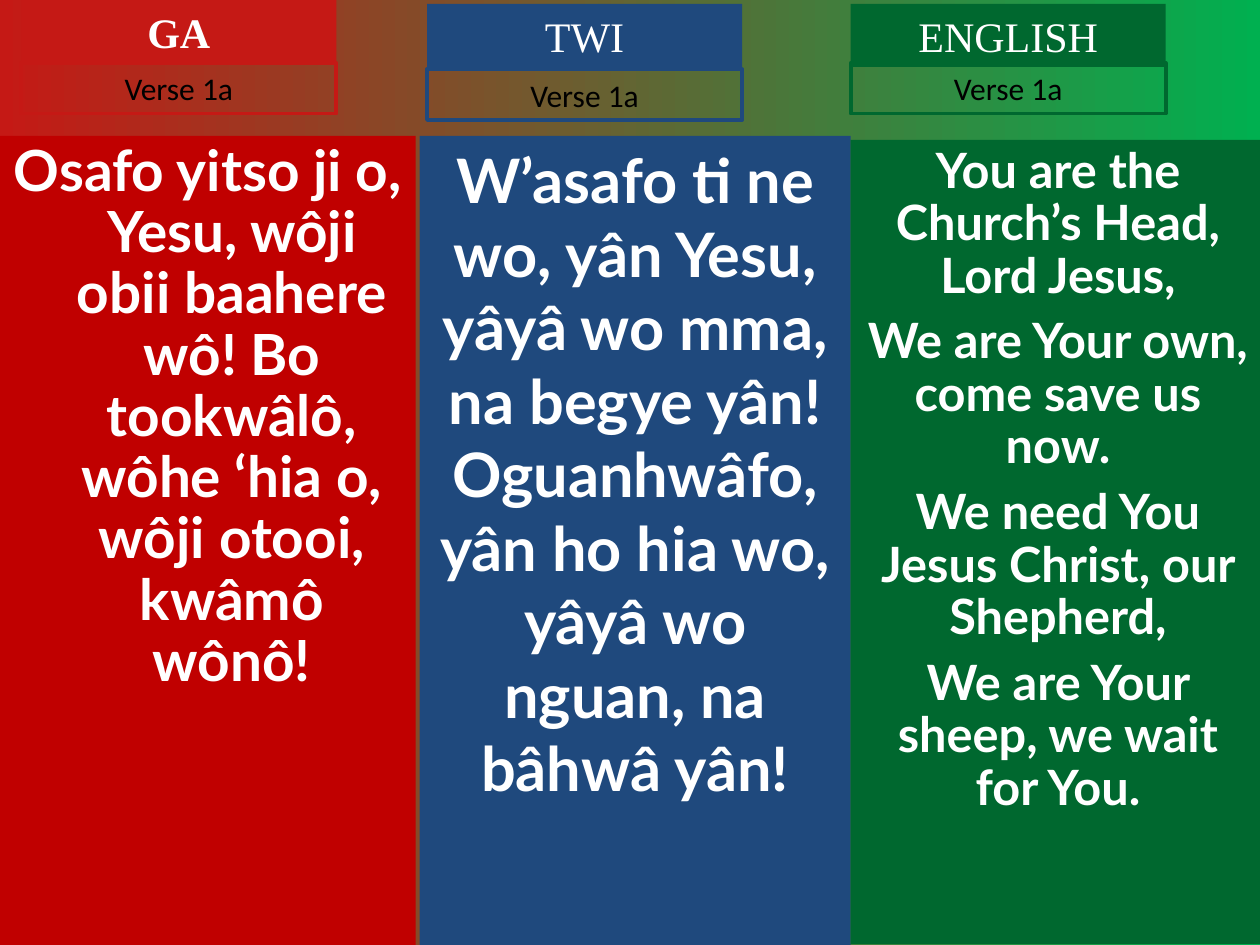
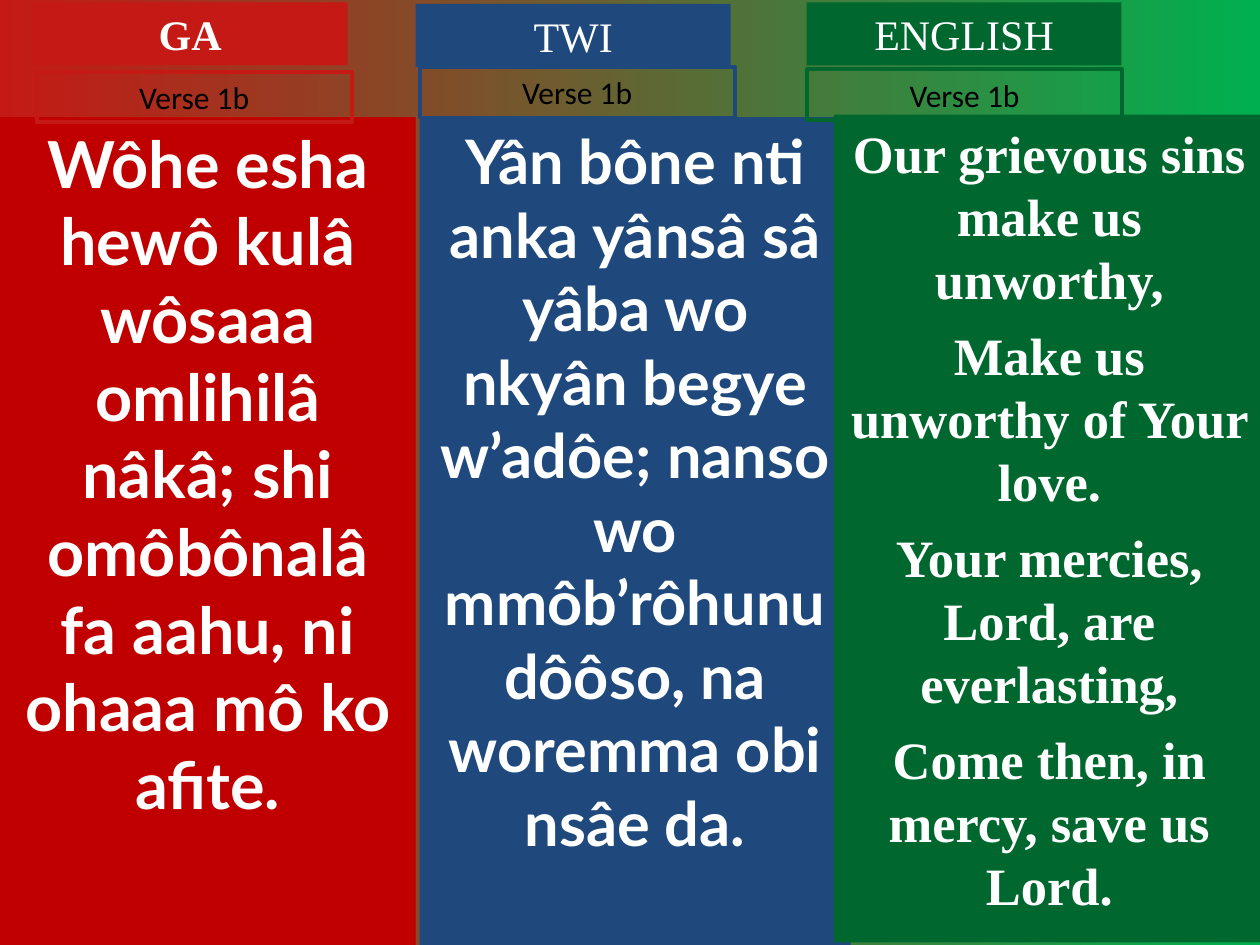
from dataclasses import dataclass
from typing import Any

import pptx
import pptx.dml.color
import pptx.enum.text
import pptx.util
from pptx.util import Cm
import pptx.oxml.ns
import lxml.etree

SLIDE_W, SLIDE_H = Cm(25.4), Cm(19.05)
LABEL_W, HEADING_H, VERSE_H = Cm(6.35), Cm(1.27), Cm(1.02)
HANGING = Cm(0.97)
SIDE_INSET, WIDE_INSET = Cm(0.25), Cm(0.32)
RED, BLUE, GREEN = "C51915", "1F497D", "00682F"
DEEP_RED, BACK_GREEN = "C00000", "00B050"
WHITE, BLACK = "FFFFFF", "000000"

HEADING_FONT = {"name": "Times New Roman", "size": pptx.util.Pt(24), "bold": False}
VERSE_FONT = {"name": "Calibri", "size": pptx.util.Pt(18), "bold": False}


@dataclass
class Language:
    name: str
    label_color: str
    column_color: str
    bold: bool = False


@dataclass
class Column:
    box: tuple[int, int, int, int]
    heading_at: tuple[int, int]
    verse_at: tuple[int, int]
    lines: list[str]
    size: float
    font: str = "Lato"
    line_spacing: float = 1.0
    hanging: int = 0
    inset: int = SIDE_INSET


@dataclass
class Verse:
    title: str
    columns: list[Column]


LANGUAGES = [
    Language("GA", RED, DEEP_RED, True),
    Language("TWI", BLUE, BLUE),
    Language("ENGLISH", GREEN, GREEN),
]

VERSES = [
    Verse("Verse 1a", [
        Column((0, Cm(2.74), Cm(8.38), Cm(16.31)), (Cm(0.43), 0), (Cm(0.43), Cm(1.27)),
               ["Osafo yitso ji o, Yesu, wôji obii baahere wô! Bo tookwâlô, "
                "wôhe ‘hia o, wôji otooi, kwâmô wônô!"],
               32.4, line_spacing=0.9, hanging=HANGING),
        Column((Cm(8.46), Cm(2.74), Cm(8.69), Cm(16.31)), (Cm(8.61), Cm(0.08)), (Cm(8.61), Cm(1.4)),
               ["W’asafo ti ne wo, yân Yesu, yâyâ wo mma, na begye yân! "
                "Oguanhwâfo, yân ho hia wo, yâyâ wo nguan, na bâhwâ yân!"], 35),
        Column((Cm(17.15), Cm(2.82), Cm(8.36), Cm(16.21)), (Cm(17.15), Cm(0.08)), (Cm(17.15), Cm(1.27)),
               ["You are the Church’s Head, Lord Jesus,",
                "We are Your own, come save us now.",
                "We need You Jesus Christ, our Shepherd,",
                "We are Your sheep, we wait for You."], 27.8, line_spacing=0.9),
    ]),
    Verse("Verse 1b", [
        Column((0, Cm(2.36), Cm(8.38), Cm(16.69)), (Cm(0.66), Cm(0.05)), (Cm(0.74), Cm(1.45)),
               ["Wôhe esha hewô kulâ wôsaaa omlihilâ nâkâ; shi omôbônalâ "
                "fa aahu, ni ohaaa mô ko afite."], 37),
        Column((Cm(8.46), Cm(2.36), Cm(8.69), Cm(16.69)), (Cm(8.38), Cm(0.08)), (Cm(8.46), Cm(1.35)),
               ["Yân bône nti anka yânsâ sâ yâba wo nkyân begye w’adôe; nanso wo "
                "mmôb’rôhunu dôôso, na woremma obi nsâe da."], 35, inset=WIDE_INSET),
        Column((Cm(16.81), Cm(2.31), Cm(8.69), Cm(16.69)), (Cm(16.26), Cm(0.05)), (Cm(16.27), Cm(1.4)),
               ["Our grievous sins make us unworthy,",
                "Make us unworthy of Your love.",
                "Your mercies, Lord, are everlasting,",
                "Come then, in mercy, save us Lord."], 30, "Times New Roman"),
    ]),
]


def rgb(value: str) -> pptx.dml.color.RGBColor:
    return pptx.dml.color.RGBColor.from_string(value)


def set_all(target: Any, values: dict[str, Any]) -> None:
    for key, value in values.items():
        setattr(target, key, value)


def place(sp: Any, box: tuple[int, int, int, int]) -> None:
    set_all(sp, dict(zip(("left", "top", "width", "height"), box)))


def fill(sp: Any, color: str) -> None:
    sp.fill.solid()
    sp.fill.fore_color.rgb = rgb(color)


def write(sp: Any, lines: list[str], font: dict[str, Any], color: str,
          line_spacing: float = 1.0, hanging: int = 0, inset: int = SIDE_INSET) -> None:
    tf = sp.text_frame
    set_all(tf, {"word_wrap": True, "auto_size": pptx.enum.text.MSO_AUTO_SIZE.NONE,
                 "vertical_anchor": pptx.enum.text.MSO_ANCHOR.TOP,
                 "margin_left": inset, "margin_right": inset})
    for i, line in enumerate(lines):
        p = tf.add_paragraph() if i else tf.paragraphs[0]
        pPr = p._p.get_or_add_pPr()
        pPr.set("marL", str(int(hanging)))
        pPr.set("indent", str(-int(hanging)))
        lxml.etree.SubElement(pPr, pptx.oxml.ns.qn("a:buNone"))
        set_all(p, {"alignment": pptx.enum.text.PP_ALIGN.CENTER, "line_spacing": line_spacing,
                    "space_before": pptx.util.Pt(7.5 if i else 0)})
        r = p.add_run()
        r.text = line
        set_all(r.font, font)
        r.font.color.rgb = rgb(color)


def add_lyrics(sp: Any, language: Language, column: Column) -> None:
    place(sp, column.box)
    fill(sp, language.column_color)
    font = {"name": column.font, "size": pptx.util.Pt(column.size), "bold": True}
    write(sp, column.lines, font, WHITE, column.line_spacing, column.hanging, column.inset)


def add_heading(sp: Any, language: Language, column: Column) -> None:
    place(sp, (*column.heading_at, LABEL_W, HEADING_H))
    fill(sp, language.label_color)
    write(sp, [language.name], HEADING_FONT | {"bold": language.bold}, WHITE)


def add_verse_label(sp: Any, language: Language, column: Column, title: str) -> None:
    place(sp, (*column.verse_at, LABEL_W, VERSE_H))
    sp.line.color.rgb = rgb(language.label_color)
    sp.line.width = pptx.util.Pt(2.25)
    write(sp, [title], VERSE_FONT, BLACK)


def add_verse_slide(prs: Any, verse: Verse) -> None:
    s = prs.slides.add_slide(prs.slide_layouts.get_by_name("Two Content"))
    title, *bodies = s.placeholders

    def text_box() -> Any:
        return s.shapes.add_textbox(0, 0, LABEL_W, VERSE_H)

    pairs = list(zip(LANGUAGES, verse.columns))
    for i, (language, column) in enumerate(pairs):
        add_lyrics(bodies[i] if i < len(bodies) else text_box(), language, column)
    for i, (language, column) in enumerate(pairs):
        add_heading(text_box() if i else title, language, column)
        add_verse_label(text_box(), language, column, verse.title)


def set_background(prs: Any) -> None:
    back = prs.slide_master.background.fill
    back.gradient()
    back.gradient_angle = 0
    for stop, color, position in zip(back.gradient_stops, (RED, BACK_GREEN), (0, 1)):
        stop.color.rgb = rgb(color)
        stop.position = position


def main() -> None:
    prs = pptx.Presentation()
    set_all(prs, {"slide_width": SLIDE_W, "slide_height": SLIDE_H})
    set_background(prs)
    for verse in VERSES:
        add_verse_slide(prs, verse)
    prs.save("out.pptx")


if __name__ == "__main__":
    main()
